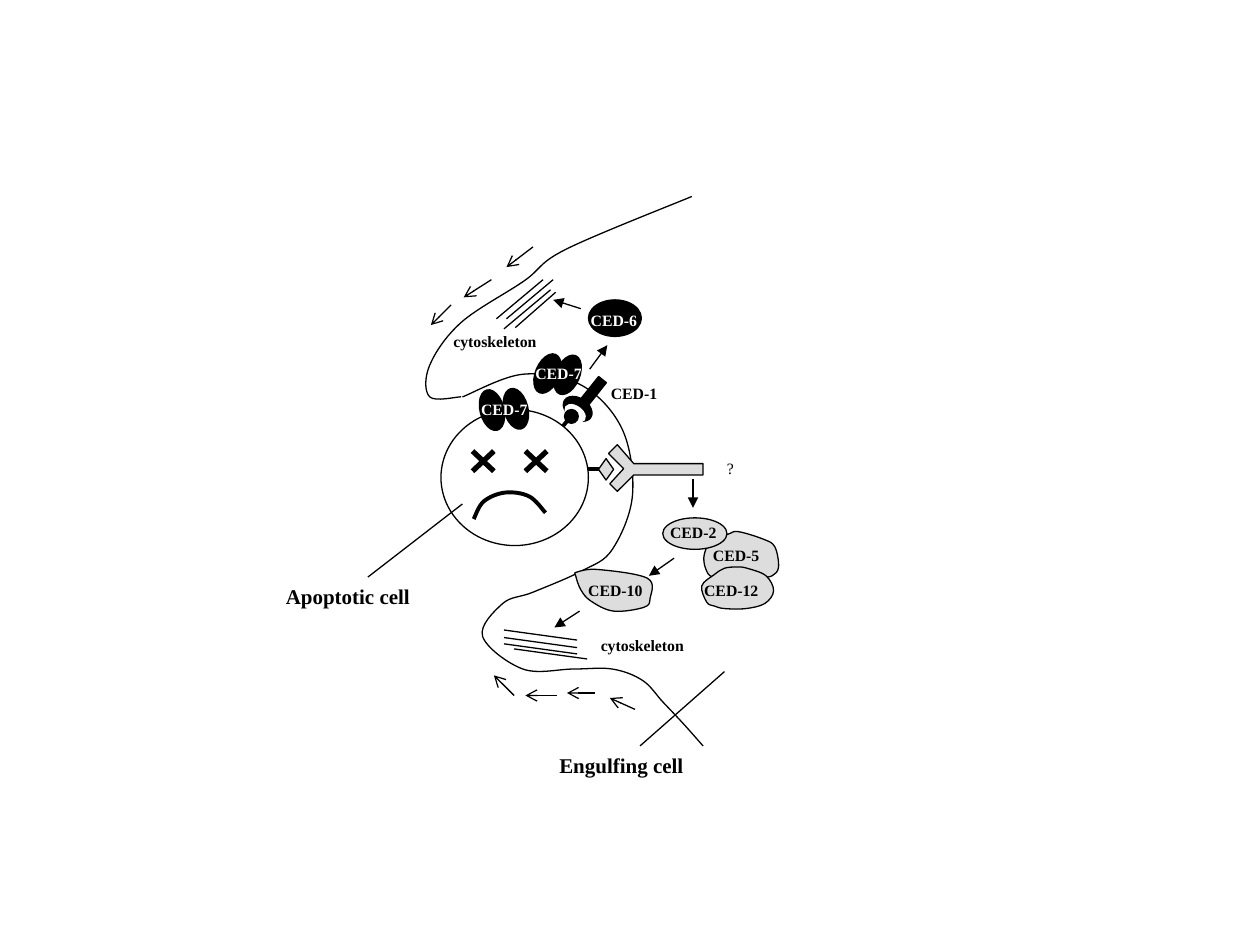
from lxml import etree
from pptx import Presentation
from pptx import util as u
from pptx.dml.color import RGBColor
from pptx.enum import shapes, text
from pptx.oxml.ns import qn

PX = 9144
BLACK = RGBColor(0, 0, 0)
WHITE = RGBColor(255, 255, 255)
GREY = RGBColor(0xDD, 0xDD, 0xDD)
FONT = "Times New Roman"
KIND = shapes.MSO_SHAPE


def bezier_points(anchors, closed):
    count = len(anchors)

    def anchor(index):
        return anchors[index % count if closed else min(max(index, 0), count - 1)]

    def control(index, sign):
        before, here, after = anchor(index - 1), anchor(index), anchor(index + 1)
        return tuple(h + sign * (a - b) / 6 for b, h, a in zip(before, here, after))

    points = [anchors[0]]
    for index in range(count if closed else count - 1):
        points += [control(index, 1), control(index + 1, -1), anchor(index + 1)]
    return points


class Diagram:
    def __init__(self, slide):
        self.shapes = slide.shapes.add_group_shape().shapes

    def style(self, shape, fill, edge=BLACK, weight=0.75):
        shape.shadow.inherit = False
        if fill is None:
            shape.fill.background()
        else:
            shape.fill.solid()
            shape.fill.fore_color.rgb = fill
        shape.line.color.rgb = edge
        shape.line.width = u.Pt(weight)

    def shape(self, kind, left, top, width, height, fill, turn=0, edge=BLACK):
        shape = self.shapes.add_shape(kind, left * PX, top * PX, width * PX, height * PX)
        shape.rotation = turn
        self.style(shape, fill, edge)

    def line(self, start, end, head=None, weight=0.75):
        line = self.shapes.add_connector(
            shapes.MSO_CONNECTOR.STRAIGHT, *(value * PX for value in start + end))
        line.line.color.rgb = BLACK
        line.line.width = u.Pt(weight)
        if head:
            etree.SubElement(line.line._get_or_add_ln(), qn("a:tailEnd"), type=head)
        etree.SubElement(line._element.spPr, qn("a:effectLst"))

    def outline(self, points, fill=None, closed=True, weight=0.75):
        scaled = [(x * PX, y * PX) for x, y in points]
        builder = self.shapes.build_freeform(*scaled[0], scale=1.0)
        builder.add_line_segments(scaled[1:], close=closed)
        shape = builder.convert_to_shape()
        self.style(shape, fill, weight=weight)
        return shape

    def curve(self, anchors, fill=None, closed=False, weight=0.75):
        shape = self.outline(bezier_points(anchors, closed), fill, closed, weight)
        segments = shape._element.findall(".//" + qn("a:lnTo"))
        for first, second, third in zip(*(segments[start::3] for start in range(3))):
            bend = etree.Element(qn("a:cubicBezTo"))
            first.addprevious(bend)
            for segment in (first, second, third):
                bend.append(segment[0])
                segment.getparent().remove(segment)

    def label(self, words, left, top, width, color=BLACK, size=9, bold=True,
              height=25, wrap=False):
        box = self.shapes.add_textbox(left * PX, top * PX, width * PX, height * PX)
        frame = box.text_frame
        frame.word_wrap = wrap
        frame.vertical_anchor = text.MSO_ANCHOR.TOP
        para = frame.paragraphs[0]
        para.alignment = text.PP_ALIGN.LEFT
        span = para.add_run()
        span.text = words
        span.font.name = FONT
        span.font.size = u.Pt(size)
        span.font.bold = bold
        span.font.color.rgb = color

    def ced7(self, right, left, turn, label):
        for corner in (right, left):
            self.shape(KIND.OVAL, *corner, 19, 33, BLACK, turn)
        self.label("CED-7", *label, 57, WHITE)


def draw_engulfing_cell(diagram):
    diagram.curve([(367, 315), (415, 297), (462, 306), (494, 341), (502, 393),
                   (486, 436), (462, 453), (423, 470), (399, 479), (383, 505),
                   (415, 531), (455, 531), (486, 531), (510, 540), (526, 557),
                   (542, 574), (558, 592)])
    diagram.curve([(366, 315), (341, 315), (341, 290), (366, 256), (416, 223),
                   (449, 198), (549, 156)])
    for start, end in [((442, 552), (417, 552)), ((472, 550), (450, 550)),
                       ((408, 552), (392, 536)), ((504, 563), (484, 554)),
                       ((358, 242), (342, 258)), ((390, 222), (368, 236)),
                       ((423, 196), (402, 212))]:
        diagram.line(start, end, "arrow")
    diagram.line((575, 533), (508, 592))
    diagram.label("Engulfing cell", 434, 592, 241, size=12, height=45, wrap=True)


def draw_apoptotic_cell(diagram):
    diagram.shape(KIND.OVAL, 350, 325, 117, 108, WHITE)
    for left in (375, 417):
        diagram.line((left, 358), (left + 17, 374), weight=3)
        diagram.line((left + 17, 358), (left, 374), weight=3)
    diagram.curve([(376, 412), (384, 398), (401, 391), (420, 394), (433, 407)],
                  weight=2.25)
    diagram.line((367, 400), (292, 458))
    diagram.label("Apoptotic cell", 217, 458, 241, size=12, height=50, wrap=True)


def draw_grey_pathway(diagram):
    diagram.curve([(586, 422), (578, 424), (565, 429), (559, 440), (560, 451),
                   (566, 458), (583, 455), (595, 455), (604, 458), (613, 457),
                   (618, 450), (615, 434), (606, 428)], GREY, closed=True)
    diagram.shape(KIND.OVAL, 526, 411, 51, 25, GREY)
    diagram.curve([(457, 457), (461, 468), (469, 477), (487, 485), (511, 482),
                   (516, 475), (514, 459), (475, 452), (458, 454)], GREY, closed=True)
    diagram.curve([(575, 451), (567, 456), (557, 465), (561, 478), (567, 481),
                   (575, 483), (592, 483), (607, 479), (614, 469), (608, 457),
                   (593, 451), (585, 450)], GREY, closed=True)
    diagram.outline([(503, 368), (558, 368), (558, 377), (503, 377), (490, 390),
                     (484, 384), (495, 372), (483, 360), (490, 353)], GREY)
    diagram.line((467, 372), (475, 372), weight=2.25)
    diagram.shape(KIND.DIAMOND, 475, 364, 12, 17, GREY)
    for words, left, top, width in [("CED-2", 522, 410, 57), ("CED-5", 556, 428, 57),
                                    ("CED-10", 457, 456, 63), ("CED-12", 549, 456, 63)]:
        diagram.label(words, left, top, width)
    diagram.label("?", 567, 359, 25, bold=False)


def draw_black_pathway(diagram):
    diagram.shape(KIND.OVAL, 450, 312, 17, 25, BLACK, 303.7)
    diagram.shape(KIND.OVAL, 451, 319, 11, 18, WHITE, 305.6, WHITE)
    diagram.shape(KIND.OVAL, 448, 325, 11, 11, BLACK)
    diagram.shape(KIND.RECTANGLE, 458, 307, 25, 8, BLACK, 308.6)
    diagram.label("CED-1", 475, 300, 57)
    diagram.ced7((441, 281), (425, 280), 22.9, (415, 284))
    diagram.ced7((400, 308), (381, 309), 345.6, (372, 312))
    diagram.line((450, 333), (455, 329), weight=1.5)
    diagram.line((456, 327), (447, 338), weight=2.25)
    diagram.shape(KIND.OVAL, 467, 238, 42, 29, BLACK)
    diagram.label("CED-6", 459, 242, 57, WHITE)


def draw_cytoskeleton(diagram):
    for left, top in [(400, 500), (400, 506), (400, 511), (408, 515)]:
        diagram.line((left, top), (left + 58, top + 8))
    for start, end in [((431, 222), (394, 253)), ((439, 222), (402, 253)),
                       ((437, 230), (400, 261)), ((441, 232), (409, 260))]:
        diagram.line(start, end)
    for left, top in [(467, 500), (350, 258)]:
        diagram.label("cytoskeleton", left, top, 86)


def draw_signals(diagram):
    for start, end in [((535, 443), (515, 457)), ((550, 380), (550, 403)),
                       ((468, 293), (482, 274)), ((460, 485), (440, 498)),
                       ((461, 245), (439, 238))]:
        diagram.line(start, end, "triangle")


def main():
    deck = Presentation()
    deck.slide_width, deck.slide_height = 1000 * PX, 750 * PX
    page = deck.slides.add_slide(deck.slide_layouts[6])
    diagram = Diagram(page)
    draw_engulfing_cell(diagram)
    draw_apoptotic_cell(diagram)
    draw_grey_pathway(diagram)
    draw_black_pathway(diagram)
    draw_cytoskeleton(diagram)
    draw_signals(diagram)
    deck.save("out.pptx")


if __name__ == "__main__":
    main()
